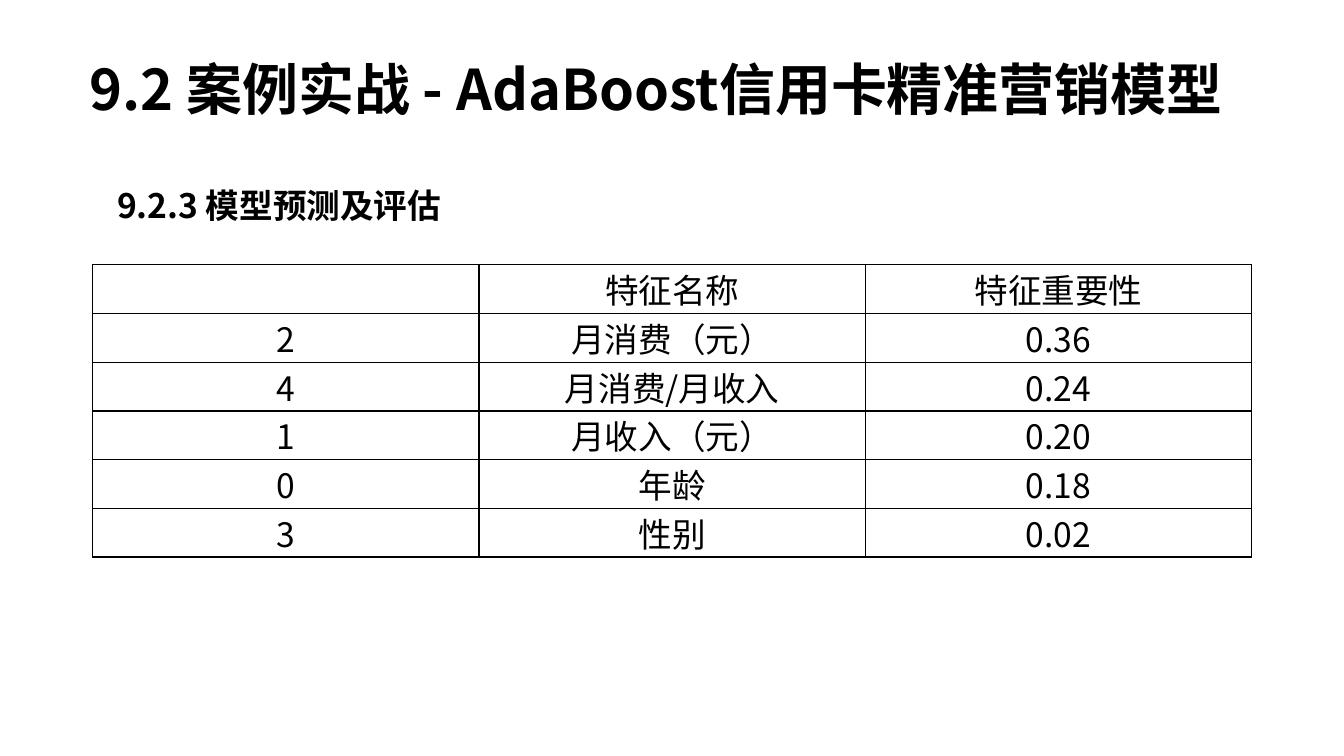
from dataclasses import dataclass

from lxml import etree
from pptx import Presentation
from pptx import util as u
from pptx.dml.color import RGBColor
from pptx.enum import text
from pptx.oxml import ns


@dataclass(frozen=True)
class Theme:
    font: str = "Noto Sans CJK SC"
    ink: str = "000000"
    title: float = 40
    body: float = 24
    border: float = 1


@dataclass(frozen=True)
class Heading:
    words: str
    left: float
    top: float
    width: float
    height: float
    size: float
    inset_top: float
    leading: float | None = None


THEME = Theme()
HEADINGS = [
    Heading("9.2 案例实战 - AdaBoost信用卡精准营销模型",
            56.9, 38.9, 846, 89.3, THEME.title, 2, 46),
    Heading("9.2.3 模型预测及评估", 76.5, 128.2, 807, 39, THEME.body, 4),
]
FEATURES = [
    ("", "特征名称", "特征重要性"),
    ("2", "月消费（元）", "0.36"),
    ("4", "月消费/月收入", "0.24"),
    ("1", "月收入（元）", "0.20"),
    ("0", "年龄", "0.18"),
    ("3", "性别", "0.02"),
]
TABLE_LEFT, TABLE_TOP = 66.2, 189.2
COL_WIDTH, ROW_HEIGHT = 276, 34.8


def write(p, words: str, size: float, bold: bool) -> None:
    """Add one run in the slide's font."""
    r = p.add_run()
    r.text = words
    formats = {"name": THEME.font, "size": u.Pt(size), "bold": bold}
    for name, value in formats.items():
        setattr(r.font, name, value)
    r.font.color.rgb = RGBColor.from_string(THEME.ink)
    ea = etree.SubElement(r.font._element, ns.qn("a:ea"))
    ea.set("typeface", THEME.font)


def add_heading(s, h: Heading) -> None:
    sp = s.shapes.add_textbox(u.Pt(h.left), u.Pt(h.top), u.Pt(h.width), u.Pt(h.height))
    tf = sp.text_frame
    formats = {"word_wrap": True, "margin_top": u.Pt(h.inset_top), "margin_bottom": 0,
               "vertical_anchor": text.MSO_ANCHOR.TOP}
    for name, value in formats.items():
        setattr(tf, name, value)
    p = tf.paragraphs[0]
    if h.leading:
        p.line_spacing = u.Pt(h.leading)
    write(p, h.words, h.size, True)


def add_borders(cell) -> None:
    """Draw all four cell sides; lines must precede the fill."""
    props = cell._tc.get_or_add_tcPr()
    for i, side in enumerate(("lnL", "lnR", "lnT", "lnB")):
        ln = etree.Element(ns.qn(f"a:{side}"), w=str(u.Pt(THEME.border)))
        fill = etree.SubElement(ln, ns.qn("a:solidFill"))
        etree.SubElement(fill, ns.qn("a:srgbClr"), val=THEME.ink)
        props.insert(i, ln)


def add_features(s, rows: list[tuple[str, ...]]) -> None:
    n_rows, n_cols = len(rows), len(rows[0])
    frame = s.shapes.add_table(n_rows, n_cols, u.Pt(TABLE_LEFT), u.Pt(TABLE_TOP),
                               u.Pt(COL_WIDTH * n_cols), u.Pt(ROW_HEIGHT * n_rows))
    table = frame.table
    table.first_row = table.horz_banding = False
    for i, row in enumerate(rows):
        for j, words in enumerate(row):
            cell = table.cell(i, j)
            for side in ("left", "top", "right", "bottom"):
                setattr(cell, f"margin_{side}", 0)
            cell.fill.background()
            add_borders(cell)
            if words:
                p = cell.text_frame.paragraphs[0]
                p.alignment = text.PP_ALIGN.CENTER
                write(p, words, THEME.body, False)


def main() -> None:
    prs = Presentation()
    prs.slide_width, prs.slide_height = u.Pt(960), u.Pt(540)
    s = prs.slides.add_slide(prs.slide_layouts[6])
    # Title and section heading
    for heading in HEADINGS:
        add_heading(s, heading)
    # Feature importance table
    add_features(s, FEATURES)
    prs.save("out.pptx")


if __name__ == "__main__":
    main()
